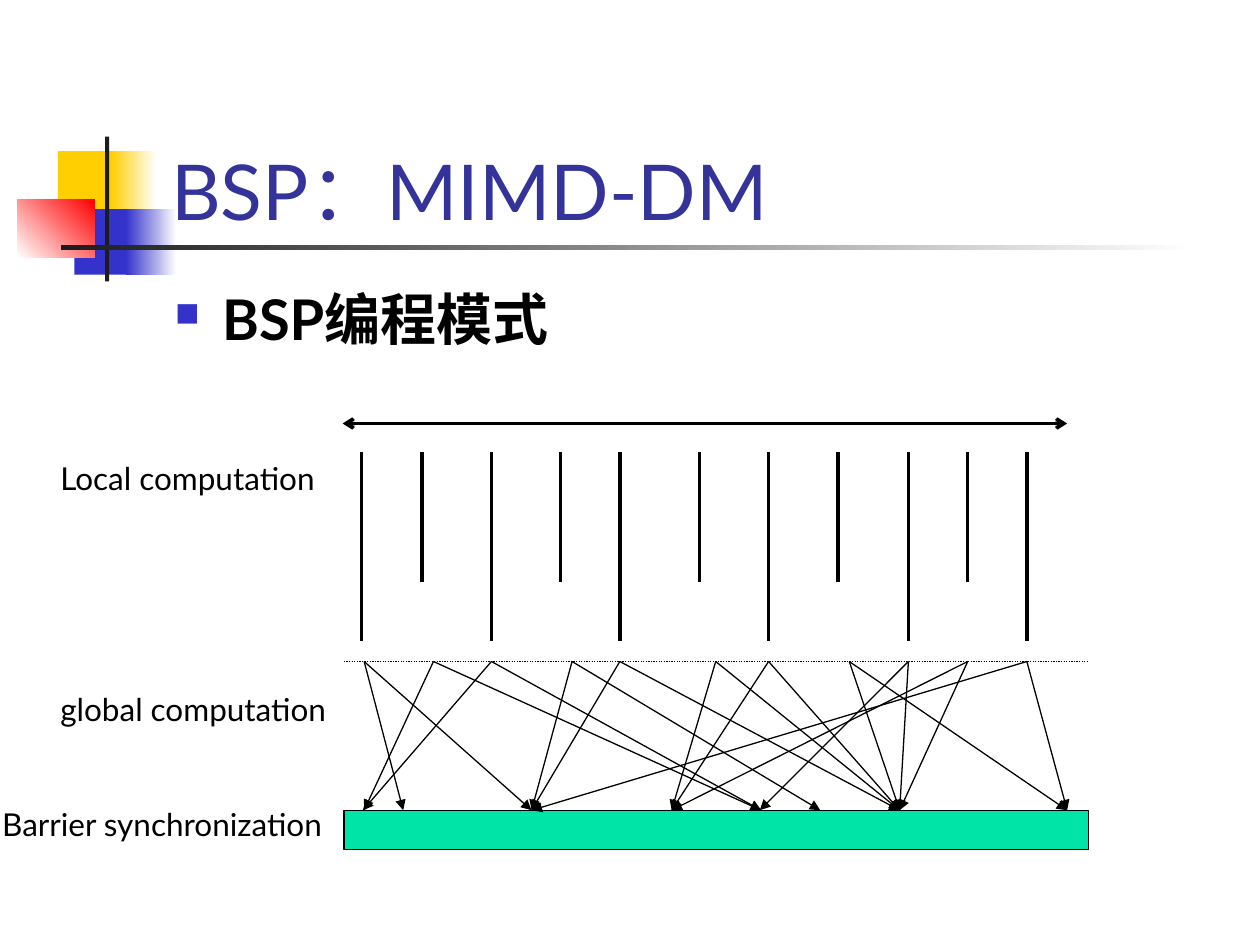
import lxml.etree
import pptx
import pptx.dml.color
import pptx.enum.dml
import pptx.enum.shapes
import pptx.enum.text
import pptx.oxml.ns
import pptx.util

Pt = pptx.util.Pt
qn = pptx.oxml.ns.qn

HUES = {
    "gold": "FFCF01", "blue": "3333CC", "red": "FF0000", "white": "FFFFFF",
    "dark": "1C1C1C", "title": "333399", "black": "000000", "green": "00E4A8",
}
TOP, TALL, SHORT = 258.5, 366.5, 332.6
DOTS, BAR = 378, 463
LEFT, WIDE = 196.5, 425.5
LONG_X = [206.6, 280.8, 354.2, 439.2, 519.1, 586.8]
SHORT_X = [241.2, 320.4, 399.6, 478.8, 553]
SENDS = [
    (208.1, [230.4, 303.8]),
    (247.7, [208.1, 434.9]),
    (280.8, [207.4, 434.9]),
    (326.9, [303.8, 468.7]),
    (354.2, [303.8, 514.1]),
    (409, [514.1, 383.8]),
    (439.2, [514.1, 383.8]),
    (485.3, [609.8, 514.1]),
    (519.1, [514.1, 434.2]),
    (553, [383.8, 514.1]),
    (586.8, [609.8, 303.8]),
]


class Sketch:
    font = "Lato"

    def __init__(self, deck):
        self.slide = deck.slides.add_slide(deck.slide_layouts[6])

    def hue(self, name):
        return pptx.dml.color.RGBColor.from_string(HUES[name])

    def rect(self, box, fill, edge=None):
        kind = pptx.enum.shapes.MSO_SHAPE.RECTANGLE
        shape = self.slide.shapes.add_shape(kind, *map(Pt, box))
        shape.shadow.inherit = False
        if edge:
            shape.line.color.rgb = self.hue(edge)
            shape.line.width = Pt(0.75)
        else:
            shape.line.fill.background()
        if fill:
            shape.fill.solid()
            shape.fill.fore_color.rgb = self.hue(fill)
        return shape

    def fade(self, box, start, end, angle=0):
        fill = self.rect(box, None).fill
        fill.gradient()
        fill.gradient_angle = angle
        for stop, name, place in zip(fill.gradient_stops, (start, end), (0, 1)):
            stop.color.rgb = self.hue(name)
            stop.position = place

    def line(self, x1, y1, x2, y2, width=0.75, dash=None, head=None, tail=None):
        kind = pptx.enum.shapes.MSO_CONNECTOR.STRAIGHT
        link = self.slide.shapes.add_connector(kind, *map(Pt, (x1, y1, x2, y2)))
        link.line.color.rgb = self.hue("black")
        for key, value in {"width": Pt(width), "dash_style": dash}.items():
            setattr(link.line, key, value)
        props = link._element.spPr
        for tag, tip in (("a:headEnd", head), ("a:tailEnd", tail)):
            if tip:
                lxml.etree.SubElement(props.find(qn("a:ln")), qn(tag), type=tip)
        lxml.etree.SubElement(props, qn("a:effectLst"))

    def text(self, box, words, size, color="black", bold=False, low=False, mark=None):
        frame = self.slide.shapes.add_textbox(*map(Pt, box)).text_frame
        anchor = pptx.enum.text.MSO_ANCHOR
        frame.word_wrap = True
        frame.vertical_anchor = anchor.BOTTOM if low else anchor.TOP
        para = frame.paragraphs[0]
        para.text = words
        if mark:
            self.bullet(para, mark)
        style = {"name": self.font, "size": Pt(size), "bold": bold}
        for key, value in style.items():
            setattr(para.font, key, value)
            setattr(para.runs[0].font, key, value)
        para.runs[0].font.color.rgb = self.hue(color)

    def bullet(self, para, mark):
        props = para._p.get_or_add_pPr()
        for key, value in {"marL": Pt(27), "indent": Pt(-27)}.items():
            props.set(key, str(int(value)))
        tint = lxml.etree.SubElement(props, qn("a:buClr"))
        lxml.etree.SubElement(tint, qn("a:srgbClr"), val=HUES["blue"])
        lxml.etree.SubElement(props, qn("a:buSzPct"), val="60000")
        lxml.etree.SubElement(props, qn("a:buChar"), char=mark)


def main():
    deck = pptx.Presentation()
    deck.slide_width, deck.slide_height = Pt(720), Pt(540)
    page = Sketch(deck)

    page.rect((33.1, 86.4, 34.6, 37.4), "gold")
    page.fade((63.4, 86.4, 25.9, 37.4), "gold", "white")
    page.rect((42.5, 119.5, 33.1, 37.4), "blue")
    page.fade((72, 119.5, 28.8, 37.4), "blue", "white")
    page.fade((10, 113.8, 44, 33.1), "white", "red", 45)
    page.rect((60, 78, 2.4, 82.8), "dark")
    page.fade((34.6, 140.2, 648, 2.4), "dark", "white")

    page.text((90.7, 48.2, 613.4, 90), "BSP：MIMD-DM", 44, "title", low=True)
    page.text((92.9, 159.1, 612, 324), "BSP编程模式", 32, bold=True, mark="■")

    page.line(195.8, 242, 609.8, 242, 2, head="arrow", tail="arrow")
    for ends, foot in ((LONG_X, TALL), (SHORT_X, SHORT)):
        for x in ends:
            page.line(x, TOP, x, foot, 2)
    page.line(LEFT, DOTS, LEFT + WIDE, DOTS, dash=pptx.enum.dml.MSO_LINE.ROUND_DOT)
    page.rect((LEFT, BAR, WIDE, 22.3), "green", "black")
    for start, ends in SENDS:
        for end in ends:
            page.line(start, DOTS, end, BAR, tail="triangle")

    for x, y, wide, words in (
        (27.4, 258.5, 168.5, "Local computation"),
        (27.4, 391, 168.5, "global computation"),
        (-5.8, 456.5, 206.6, "Barrier synchronization"),
    ):
        page.text((x, y, wide, 50.4), words, 18)

    deck.save("out.pptx")


if __name__ == "__main__":
    main()
